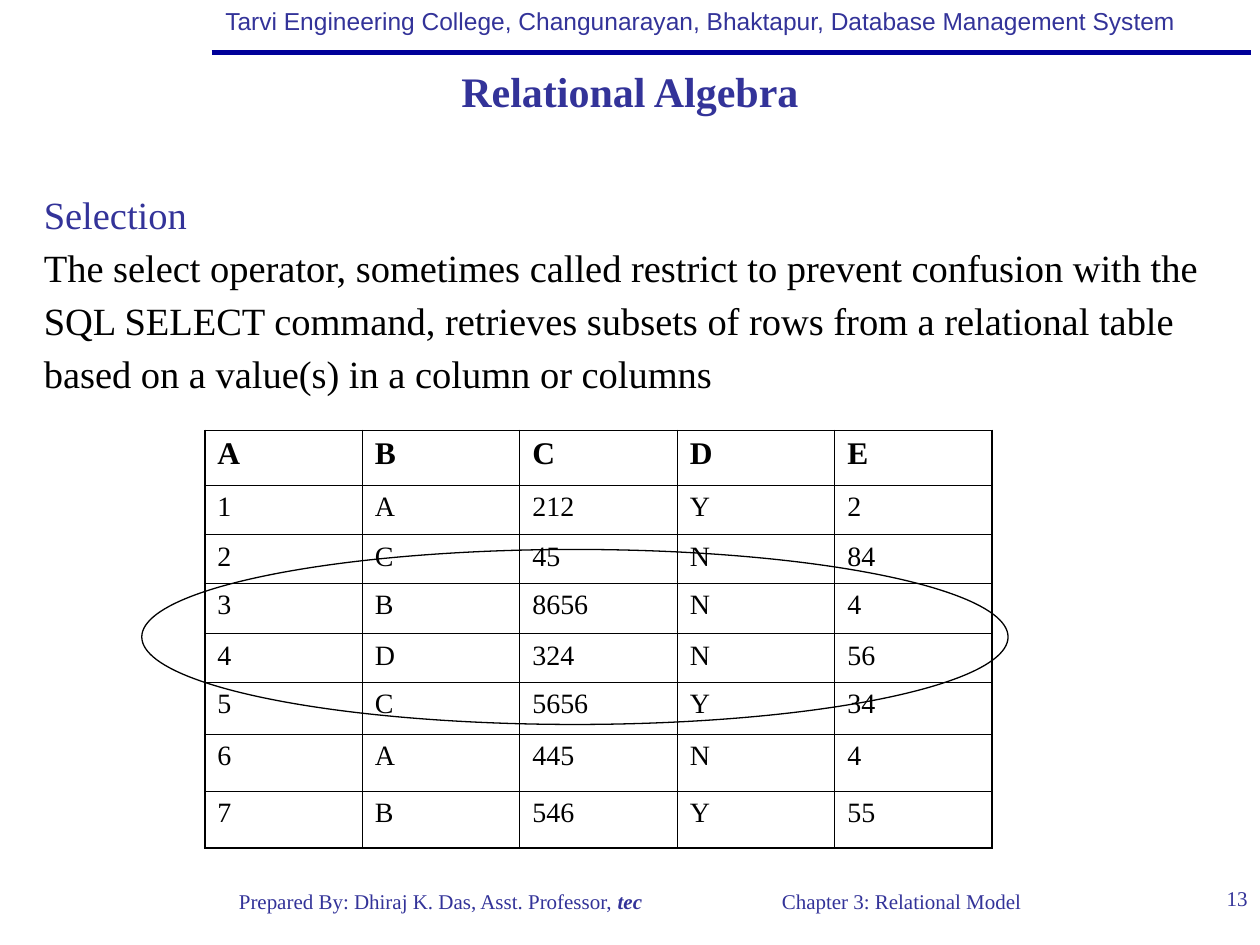
from lxml import etree
from pptx import Presentation
from pptx.dml.color import RGBColor
from pptx.enum.shapes import MSO_CONNECTOR, MSO_SHAPE
from pptx.enum.text import MSO_ANCHOR, PP_ALIGN
from pptx.oxml.ns import qn
from pptx.util import Pt

STRAIGHT = MSO_CONNECTOR.STRAIGHT
OVAL = MSO_SHAPE.OVAL
TOP, MIDDLE = MSO_ANCHOR.TOP, MSO_ANCHOR.MIDDLE
LEFT, CENTER, RIGHT = PP_ALIGN.LEFT, PP_ALIGN.CENTER, PP_ALIGN.RIGHT

SERIF, SANS = "Times New Roman", "Arial"
INDIGO, NAVY, BLACK = "333399", "000099", "000000"
OUTER_BORDER, INNER_BORDER = 1.08, 0.45

COLUMN_WIDTH = 90
ROW_HEIGHTS = [31.2, 28.4, 27.7, 28.9, 27.7, 29.7, 32.6, 32.3]
RELATION = [
    ["A", "B", "C", "D", "E"],
    ["1", "A", "212", "Y", "2"],
    ["2", "C", "45", "N", "84"],
    ["3", "B", "8656", "N", "4"],
    ["4", "D", "324", "N", "56"],
    ["5", "C", "5656", "Y", "34"],
    ["6", "A", "445", "N", "4"],
    ["7", "B", "546", "Y", "55"],
]


def color(hex_value):
    return RGBColor.from_string(hex_value)


def add_run(paragraph, text, size, hex_value=INDIGO, font=SERIF, bold=False, italic=False):
    run = paragraph.add_run()
    run.text = text
    run.font.size = Pt(size)
    run.font.name = font
    run.font.bold = bold
    run.font.italic = italic
    run.font.color.rgb = color(hex_value)


def add_text_frame(slide, box, align=LEFT, wrap=True, anchor=TOP):
    frame = slide.shapes.add_textbox(*map(Pt, box)).text_frame
    frame.word_wrap = wrap
    frame.vertical_anchor = anchor
    frame.paragraphs[0].alignment = align
    return frame


def add_header(slide, left, top, width, height):
    rule_y = Pt(top + 30)
    rule = slide.shapes.add_connector(STRAIGHT, Pt(left), rule_y, Pt(left + width), rule_y)
    rule.line.color.rgb = color(NAVY)
    rule.line.width = Pt(3)
    etree.SubElement(rule._element.spPr, qn("a:effectLst"))
    course = add_text_frame(slide, (left + 0.7, top, 565, height), wrap=False)
    add_run(course.paragraphs[0],
            "Tarvi Engineering College, Changunarayan, Bhaktapur, Database Management System",
            14, font=SANS)


def add_footer(slide, left, top, width, height):
    note_width = 299.5
    author = add_text_frame(slide, (left, top, note_width, height), CENTER, wrap=False)
    add_run(author.paragraphs[0], "Prepared By: Dhiraj K. Das, Asst. Professor, ", 12)
    add_run(author.paragraphs[0], "tec", 12, bold=True, italic=True)
    chapter = add_text_frame(slide, (left + 263.5, top, note_width, height), CENTER, wrap=False)
    add_run(chapter.paragraphs[0], "Chapter 3: Relational Model", 12)
    number_width = 42
    number = add_text_frame(
        slide, (left + width - number_width, top - 1.5, number_width, height), RIGHT)
    add_run(number.paragraphs[0], "13", 12)


def add_definition(slide, *box):
    frame = add_text_frame(slide, box)
    heading, body = frame.paragraphs[0], frame.add_paragraph()
    heading.line_spacing = body.line_spacing = 1.15
    add_run(heading, "Selection", 22)
    add_run(body, "The select operator, sometimes called restrict to prevent confusion with "
                  "the SQL SELECT command, retrieves subsets of rows from a relational table "
                  "based on a value(s) in a column or columns", 22, BLACK)


def set_borders(cell, widths):
    """Give the cell its left, right, top and bottom borders, in that order."""
    properties = cell._tc.get_or_add_tcPr()
    for index, (side, width) in enumerate(zip("LRTB", widths)):
        border = etree.Element(qn(f"a:ln{side}"), w=str(Pt(width)))
        fill = etree.SubElement(border, qn("a:solidFill"))
        etree.SubElement(fill, qn("a:srgbClr"), val=BLACK)
        properties.insert(index, border)


def add_relation(slide, left, top):
    last_row, last_column = len(RELATION) - 1, len(RELATION[0]) - 1
    table = slide.shapes.add_table(
        last_row + 1, last_column + 1, Pt(left), Pt(top),
        Pt(COLUMN_WIDTH * (last_column + 1)), Pt(sum(ROW_HEIGHTS))).table
    table.horz_banding = False
    for column in table.columns:
        column.width = Pt(COLUMN_WIDTH)
    for r, (height, values) in enumerate(zip(ROW_HEIGHTS, RELATION)):
        table.rows[r].height = Pt(height)
        is_header = r == 0
        for c, value in enumerate(values):
            cell = table.cell(r, c)
            cell.fill.background()
            at_edge = (c == 0, c == last_column, r == 0, r == last_row)
            set_borders(cell, [OUTER_BORDER if edge else INNER_BORDER for edge in at_edge])
            paragraph = cell.text_frame.paragraphs[0]
            paragraph.space_before = Pt(4.5 if is_header else 4)
            add_run(paragraph, value, 18 if is_header else 16, BLACK, bold=is_header)


def add_selected_rows_ring(slide, *box):
    ring = slide.shapes.add_shape(OVAL, *map(Pt, box))
    ring.shadow.inherit = False
    ring.fill.background()
    ring.line.color.rgb = color(BLACK)
    ring.line.width = Pt(0.75)


def add_title(slide, *box):
    frame = add_text_frame(slide, box, CENTER, anchor=MIDDLE)
    add_run(frame.paragraphs[0], "Relational Algebra", 24, bold=True)


def main():
    presentation = Presentation()
    presentation.slide_width, presentation.slide_height = Pt(720), Pt(540)
    slide = presentation.slides.add_slide(presentation.slide_layouts[6])
    add_header(slide, 121, 0, 594, 24.5)
    add_footer(slide, 102, 504, 618, 36)
    add_definition(slide, 18, 101.5, 678, 152.5)
    add_relation(slide, 117, 246)
    add_selected_rows_ring(slide, 81, 314, 495, 100)
    add_title(slide, 0, 31, 720, 42)
    presentation.save("out.pptx")


if __name__ == "__main__":
    main()
